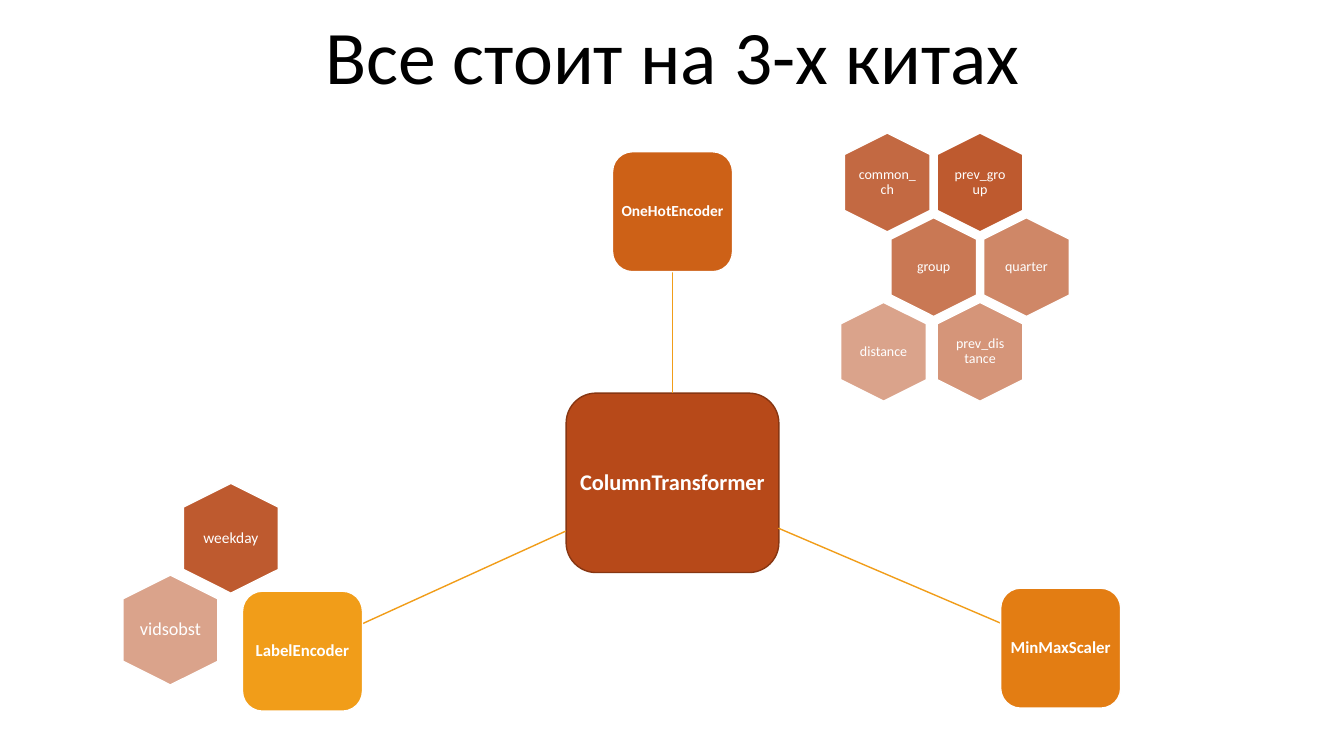
from dataclasses import dataclass

from lxml import etree
from pptx import Presentation
from pptx import util as u
from pptx.dml.color import RGBColor
from pptx.enum import shapes, text
from pptx.oxml.ns import qn


@dataclass(frozen=True)
class Theme:
    font: str = "Calibri"
    ink: str = "000000"
    white: str = "FFFFFF"
    rust: str = "B74919"
    rust_edge: str = "873612"
    amber: str = "F19D19"
    title_size: int = 54
    line: float = 1
    spacing: float = 0.9


T = Theme()
SLIDE = (13.33, 7.5)
TITLE = ("Все стоит на 3-х китах", (6.67, 0.6, 7.1, 1.45))

HUB = ("ColumnTransformer", (6.67, 4.79, 2.11, 1.78), T.rust, T.rust_edge, 16, 0.04)
WHALE = 1.19
WHALES = [
    ("OneHotEncoder", (6.67, 2.1), "CD6117", 11),
    ("MinMaxScaler", (10.52, 6.43), "E37D13", 12),
    ("LabelEncoder", (3.0, 6.46), T.amber, 12),
]
SPOKES = [
    ((6.67, 3.9), (6.67, 2.69)),
    ((7.72, 5.24), (9.92, 6.18)),
    ((5.61, 5.27), (3.59, 6.19)),
]

# label, column, row, opacity %, type size, inset
HONEYCOMBS = [
    {
        "origin": (8.8, 1.81), "pitch": (0.92, 0.84),
        "cell": (0.98, 0.85), "label": (0.59, 0.68),
        "cells": [
            ("prev_group", 1, 0, 90, 10, 0.04),
            ("common_ch", 0, 0, 82, 10, 0),
            ("group", 0.5, 1, 74, 10, 0.04),
            ("quarter", 1.5, 1, 66, 10, 0),
            ("prev_distance", 1, 2, 58, 10, 0.04),
            ("distance", -0.04, 2, 50, 10, 0),
        ],
    },
    {
        "origin": (1.69, 5.34), "pitch": (1.2, 0.91),
        "cell": (1.09, 0.94), "label": (0.65, 0.75),
        "cells": [
            ("weekday", 0.5, 0, 90, 11, 0.05),
            ("vidsobst", 0, 1, 50, 13, 0),
        ],
    },
]


def rgb(code):
    return RGBColor.from_string(code)


def box(x, y, w, h):
    return [u.Inches(v) for v in (x - w / 2, y - h / 2, w, h)]


def write(sp, words, size, color, inset, bold=False):
    tf = sp.text_frame
    tf.text = words
    tf.word_wrap = True
    tf.auto_size = text.MSO_AUTO_SIZE.NONE
    tf.vertical_anchor = text.MSO_ANCHOR.MIDDLE
    tf.margin_left = tf.margin_right = u.Inches(inset)
    tf.margin_top = tf.margin_bottom = u.Inches(inset)
    p = tf.paragraphs[0]
    p.alignment = text.PP_ALIGN.CENTER
    p.line_spacing = T.spacing
    r = p.runs[0]
    r.font.name = T.font
    r.font.size = u.Pt(size)
    r.font.bold = bold
    r.font.color.rgb = rgb(color)


def add_block(s, kind, place, fill, edge):
    sp = s.shapes.add_shape(kind, *box(*place))
    sp.shadow.inherit = False
    sp.fill.solid()
    sp.fill.fore_color.rgb = rgb(fill)
    sp.line.color.rgb = rgb(edge)
    sp.line.width = u.Pt(T.line)
    return sp


def add_tile(s, words, place, fill, edge, size, inset):
    sp = add_block(s, shapes.MSO_SHAPE.ROUNDED_RECTANGLE, place, fill, edge)
    write(sp, words, size, T.white, inset, bold=True)
    return sp


def add_spoke(s, start, end):
    points = [u.Inches(v) for v in start + end]
    c = s.shapes.add_connector(shapes.MSO_CONNECTOR.STRAIGHT, *points)
    c.line.color.rgb = rgb(T.amber)
    c.line.width = u.Pt(T.line)
    etree.SubElement(c._element.spPr, qn("a:effectLst"))
    return c


def add_honeycomb(s, comb):
    (x0, y0), (dx, dy) = comb["origin"], comb["pitch"]
    for words, col, row, opacity, size, inset in comb["cells"]:
        center = (x0 + col * dx, y0 + row * dy)
        sp = add_block(s, shapes.MSO_SHAPE.HEXAGON, center + comb["cell"], T.rust, T.white)
        sp.rotation = 90
        sp.adjustments[0] = 0.25
        color = sp._element.spPr.find(qn("a:solidFill")).find(qn("a:srgbClr"))
        etree.SubElement(color, qn("a:alpha"), val=str(opacity * 1000))
        label = s.shapes.add_textbox(*box(*center, *comb["label"]))
        write(label, words, size, T.white, inset)


def main():
    prs = Presentation()
    prs.slide_width, prs.slide_height = [u.Inches(v) for v in SLIDE]
    s = prs.slides.add_slide(prs.slide_layouts[5])
    words, place = TITLE
    title = s.shapes.title
    title.left, title.top, title.width, title.height = box(*place)
    write(title, words, T.title_size, T.ink, 0.05)

    hub = add_tile(s, *HUB)
    spokes = [add_spoke(s, *ends) for ends in SPOKES]
    tiles = [
        add_tile(s, name, center + (WHALE, WHALE), fill, T.white, size, 0.03)
        for name, center, fill, size in WHALES
    ]
    spokes[0].begin_connect(hub, 0)
    spokes[0].end_connect(tiles[0], 2)

    for comb in HONEYCOMBS:
        add_honeycomb(s, comb)
    prs.save("out.pptx")


if __name__ == "__main__":
    main()
